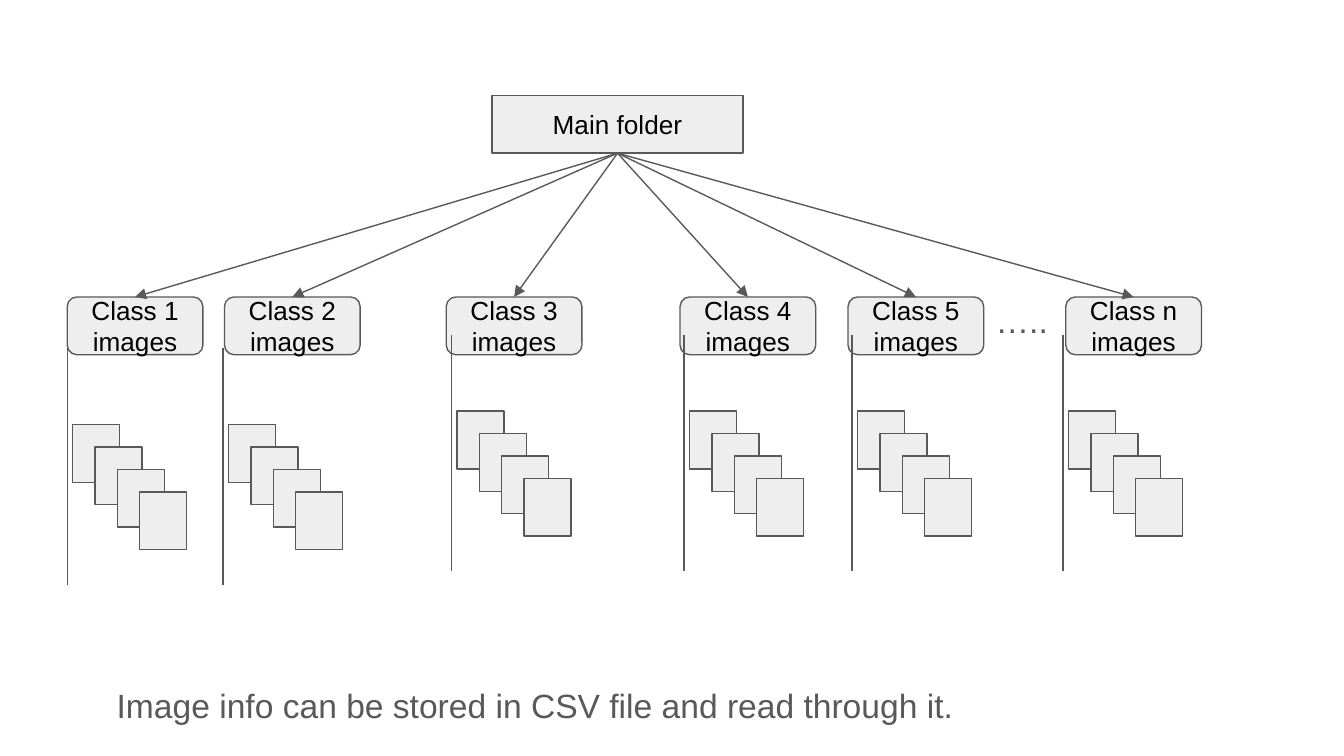
from pptx import Presentation
from pptx.dml.color import RGBColor
from pptx.enum.shapes import MSO_CONNECTOR, MSO_SHAPE
from pptx.enum.text import MSO_ANCHOR, PP_ALIGN
from pptx.oxml.ns import qn
from pptx.util import Inches, Pt
from lxml import etree

BLACK = RGBColor(0x00, 0x00, 0x00)
GRAY = RGBColor(0x59, 0x59, 0x59)
PALE = RGBColor(0xEE, 0xEE, 0xEE)

# Widescreen page, 16:9
deck = Presentation()
deck.slide_width = Inches(10)
deck.slide_height = Inches(10 * 9 / 16)
slide = deck.slides.add_slide(deck.slide_layouts[6])
shapes = slide.shapes


def add_box(kind, x, y, w, h):
    box = shapes.add_shape(kind, Inches(x), Inches(y), Inches(w), Inches(h))
    box.shadow.inherit = False
    box.fill.solid()
    box.fill.fore_color.rgb = PALE
    box.line.color.rgb = GRAY
    box.line.width = Pt(0.75)
    return box


def add_text(shape, text, size, color, align):
    frame = shape.text_frame
    frame.word_wrap = True
    frame.margin_left = frame.margin_right = Inches(0.1)
    frame.margin_top = frame.margin_bottom = Inches(0.1)
    para = frame.paragraphs[0]
    para.alignment = align
    run = para.add_run()
    run.text = text
    run.font.name = "Arial"
    run.font.size = Pt(size)
    run.font.color.rgb = color
    return frame


# Main folder
main = add_box(MSO_SHAPE.RECTANGLE, 3.66, 0.71, 1.87, 0.43)
frame = add_text(main, "Main folder", 14, BLACK, PP_ALIGN.CENTER)
frame.vertical_anchor = MSO_ANCHOR.MIDDLE

# Class folders: label, box left, stem x, stem top
groups = [
    ("1", 0.5, 0.5, 2.59),
    ("2", 1.67, 1.66, 2.59),
    ("3", 3.32, 3.36, 2.49),
    ("4", 5.06, 5.09, 2.49),
    ("5", 6.31, 6.34, 2.49),
    ("n", 7.93, 7.91, 2.49),
]
folders = []
for label, left, stem, top in groups:
    box = add_box(MSO_SHAPE.ROUNDED_RECTANGLE, left, 2.21, 1.01, 0.43)
    frame = add_text(box, f"Class {label} images", 14, BLACK, PP_ALIGN.CENTER)
    frame.vertical_anchor = MSO_ANCHOR.MIDDLE
    folders.append(box)

# Arrows from the main folder to each class
lines = []
for box in folders:
    arrow = shapes.add_connector(MSO_CONNECTOR.STRAIGHT, 0, 0, 0, 0)
    arrow.begin_connect(main, 2)
    arrow.end_connect(box, 0)
    tail = etree.SubElement(arrow._element.spPr.get_or_add_ln(),
                            qn("a:tailEnd"))
    tail.set("type", "triangle")
    lines.append(arrow)

# Dots for the classes left out
dots = shapes.add_textbox(Inches(7.31), Inches(2.13), Inches(0.66), Inches(0.5))
add_text(dots, "…..", 18, GRAY, PP_ALIGN.LEFT)

# Stem and stacked image files under each class
for label, left, stem, top in groups:
    lines.append(shapes.add_connector(
        MSO_CONNECTOR.STRAIGHT,
        Inches(stem), Inches(top), Inches(stem), Inches(top + 1.76)))
    for i in range(4):
        shift = i * 0.5 / 3
        add_box(MSO_SHAPE.RECTANGLE,
                stem + 0.04 + shift, top + 0.57 + shift, 0.35, 0.43)

# Line style shared by arrows and stems
for line in lines:
    line.line.color.rgb = GRAY
    line.line.width = Pt(0.75)
    etree.SubElement(line._element.spPr, qn("a:effectLst"))

# Caption
note = shapes.add_textbox(Inches(0.77), Inches(5), Inches(8.16), Inches(0.5))
add_text(note, "Image info can be stored in CSV file and read through it.",
         18, GRAY, PP_ALIGN.LEFT)

deck.save("out.pptx")
